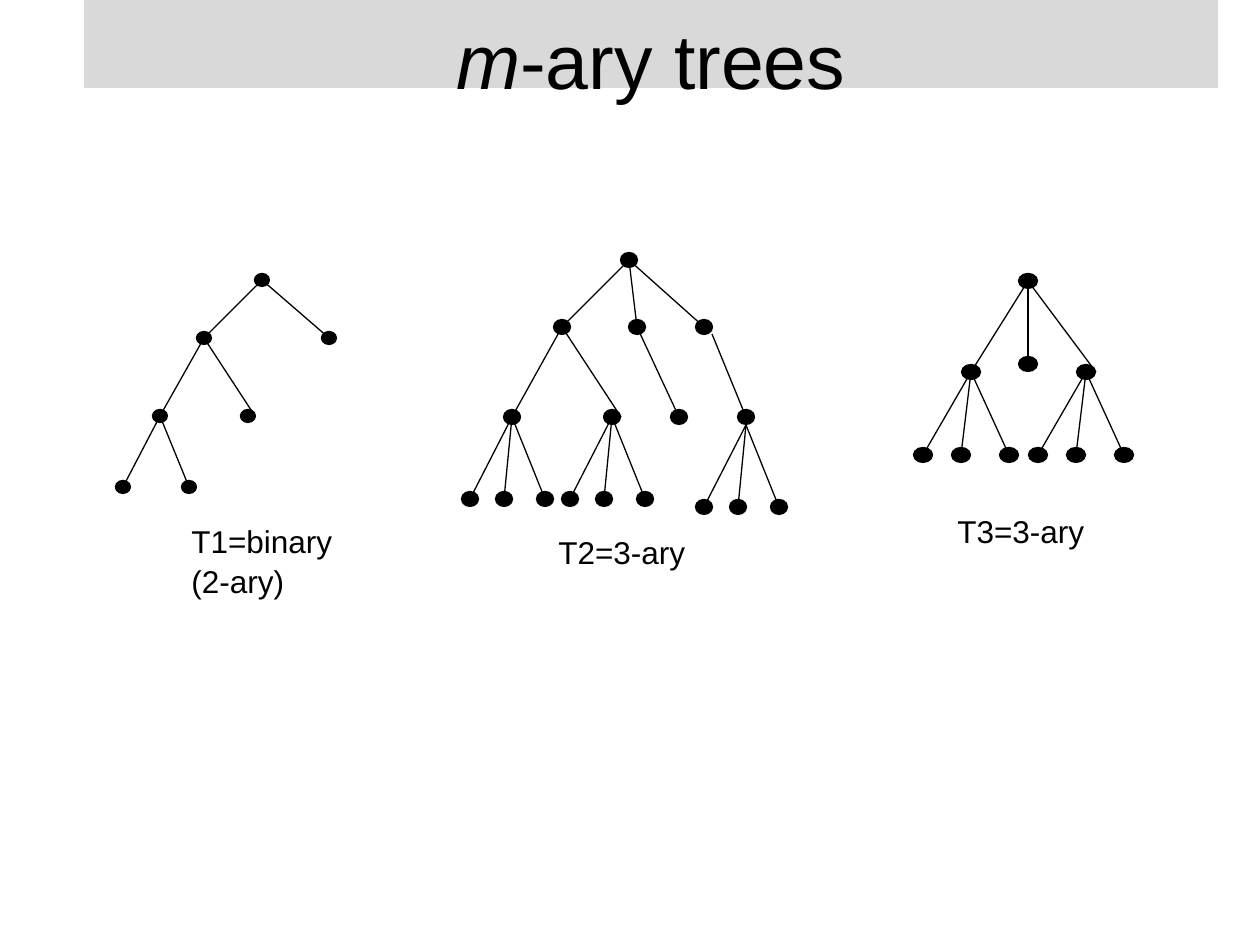
from dataclasses import dataclass
from pptx import Presentation
from pptx.dml.color import RGBColor
from pptx.enum.shapes import MSO_CONNECTOR, MSO_SHAPE
from pptx.enum.text import MSO_ANCHOR, PP_ALIGN
from pptx.oxml.ns import qn
from pptx.util import Pt
from lxml import etree

OVAL, RECT = MSO_SHAPE.OVAL, MSO_SHAPE.RECTANGLE
LINE = MSO_CONNECTOR.STRAIGHT
TOP = MSO_ANCHOR.TOP
LEFT, MID = PP_ALIGN.LEFT, PP_ALIGN.CENTER
BLACK = RGBColor(0x00, 0x00, 0x00)
GREY = RGBColor(0xD9, 0xD9, 0xD9)
EMU = 914400 / 126


def px(*vals):
    return [round(v * EMU) for v in vals]


@dataclass
class Node:
    """A tree node; start and end shift the ends of the line from its parent."""
    x: int
    y: int
    kids: tuple = ()
    start: tuple = (0, 0)
    end: tuple = (0, 0)


def fan(x, y, gaps, drop, dip=0, **shift):
    """A node with a row of leaves; dip lowers the start of their lines."""
    leaves = tuple(Node(x + gap, y + drop, start=(0, dip)) for gap in gaps)
    return Node(x, y, leaves, **shift)


class Deck:
    font = "Arial"
    width = Pt(0.75)

    def __init__(self):
        self.prs = Presentation()
        self.prs.slide_width, self.prs.slide_height = px(1260, 945)
        self.slide = self.prs.slides.add_slide(self.prs.slide_layouts[6])

    def fill_text(self, frame, runs, size, align):
        frame.word_wrap = True
        frame.vertical_anchor = TOP
        para = frame.paragraphs[0]
        para.alignment = align
        for text, slant in runs:
            run = para.add_run()
            run.text = text
            run.font.name = self.font
            run.font.size = Pt(size)
            run.font.italic = slant
            run.font.color.rgb = BLACK
        return para

    def title(self, box, runs):
        bar = self.slide.shapes.add_shape(RECT, *px(*box))
        bar.shadow.inherit = False
        bar.fill.solid()
        bar.fill.fore_color.rgb = GREY
        bar.line.fill.background()
        bar.text_frame.margin_top = px(13)[0]
        self.fill_text(bar.text_frame, runs, 44, MID)

    def label(self, box, text):
        note = self.slide.shapes.add_textbox(*px(*box))
        para = self.fill_text(note.text_frame, [(text, False)], 18, LEFT)
        para.line_spacing = 1.05

    def dot(self, group, node, wide, high):
        box = px(node.x - wide / 2, node.y - high / 2, wide, high)
        dot = group.shapes.add_shape(OVAL, *box)
        dot.shadow.inherit = False
        dot.fill.solid()
        dot.fill.fore_color.rgb = BLACK
        dot.line.color.rgb = BLACK
        dot.line.width = self.width

    def edge(self, group, node, kid):
        ends = px(node.x + kid.start[0], node.y + kid.start[1],
                  kid.x + kid.end[0], kid.y + kid.end[1])
        edge = group.shapes.add_connector(LINE, *ends)
        edge.line.color.rgb = BLACK
        edge.line.width = self.width
        etree.SubElement(edge._element.spPr, qn("a:effectLst"))

    def branch(self, group, node, size):
        self.dot(group, node, *size)
        for kid in node.kids:
            self.edge(group, node, kid)
            self.branch(group, kid, size)

    def tree(self, root, size):
        self.branch(self.slide.shapes.add_group_shape(), root, size)


def main():
    deck = Deck()
    deck.title((84, 0, 1134, 88), [("m", True), ("-ary trees", False)])

    # Binary tree
    deck.tree(Node(262, 280, (
        Node(204, 338, (
            fan(160, 416, (-37, 29), 71),
            Node(248, 416, end=(7, 0)))),
        Node(329, 338))), (15, 13))

    # Large 3-ary tree
    gaps = (-42, -8, 33)
    deck.tree(Node(629, 260, (
        Node(562, 327, (
            fan(512, 417, gaps, 82),
            fan(612, 417, gaps, 82, end=(9, 0)))),
        Node(637, 327, (Node(679, 417),)),
        Node(704, 327, (
            fan(746, 417, gaps, 90, dip=8, start=(8, 7)),)))),
        (17, 15))

    # Small 3-ary tree
    gaps = (-48, -10, 38)
    deck.tree(Node(1028, 281, (
        fan(971, 372, gaps, 83),
        Node(1028, 364, start=(0, 8), end=(0, 8)),
        fan(1086, 372, gaps, 83, end=(10, 0)))), (19, 15))

    # Captions
    deck.label((179, 514, 179, 89), "T1=binary (2-ary)")
    deck.label((546, 525, 179, 53), "T2=3-ary")
    deck.label((945, 504, 179, 53), "T3=3-ary")

    deck.prs.save("out.pptx")


if __name__ == "__main__":
    main()
